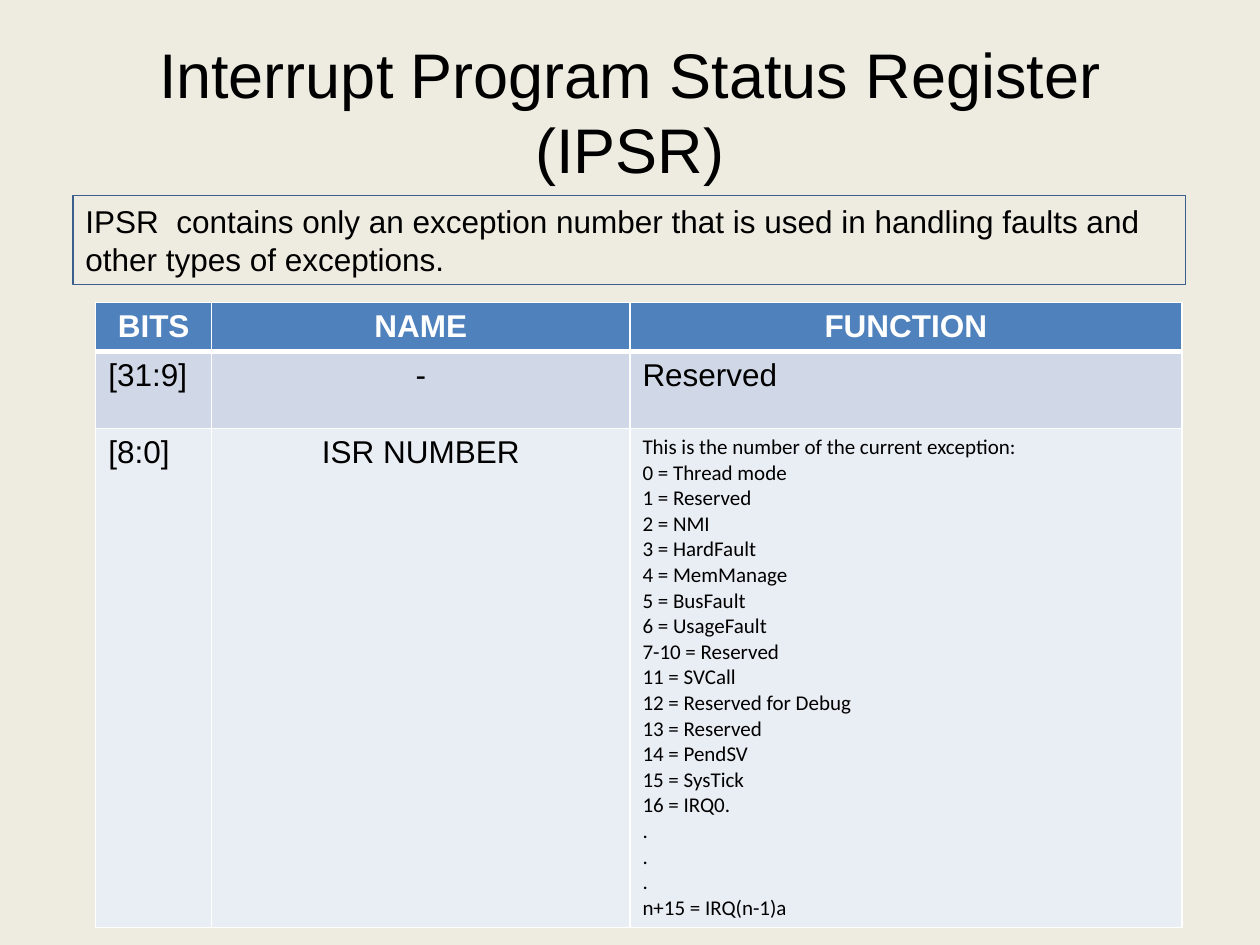
"""Build the slide describing the Interrupt Program Status Register."""
from lxml.etree import SubElement
from pptx import Presentation
from pptx.dml.color import RGBColor
from pptx.enum.shapes import MSO_SHAPE
from pptx.enum.text import MSO_ANCHOR, PP_ALIGN
from pptx.oxml.ns import qn
from pptx.util import Inches, Pt


def paint(fill, color):
    fill.solid()
    fill.fore_color.rgb = RGBColor.from_string(color)


def style(frame, size, align=PP_ALIGN.LEFT, color="000000", face="Arial", bold=False):
    frame.word_wrap = True
    for para in frame.paragraphs:
        para.alignment = align
        for run in para.runs:
            run.font.name = face
            run.font.size = Pt(size)
            run.font.bold = bold
            paint(run.font.fill, color)


deck = Presentation()
deck.slide_width, deck.slide_height = Inches(10), Inches(7.5)
slide = deck.slides.add_slide(deck.slide_layouts[5])
paint(slide.background.fill, "EEECE1")

title = slide.shapes.title
title.left, title.top = Inches(0.5), Inches(0.23)
title.width, title.height = Inches(9), Inches(0.68)
title.text_frame.text = "Interrupt Program Status Register (IPSR)"
title.text_frame.vertical_anchor = MSO_ANCHOR.TOP
style(title.text_frame, 36, PP_ALIGN.CENTER)

note = slide.shapes.add_shape(
    MSO_SHAPE.RECTANGLE, Inches(0.58), Inches(1.55), Inches(8.83), Inches(0.71))
note.shadow.inherit = False
note.fill.background()
paint(note.line.fill, "3A5F8C")
note.line.width = Pt(0.75)
note.text_frame.text = (
    "IPSR  contains only an exception number that is used in handling faults "
    "and other types of exceptions.")
style(note.text_frame, 18)

codes = [
    "This is the number of the current exception:",
    "0 = Thread mode", "1 = Reserved", "2 = NMI", "3 = HardFault",
    "4 = MemManage", "5 = BusFault", "6 = UsageFault", "7-10 = Reserved",
    "11 = SVCall", "12 = Reserved for Debug", "13 = Reserved", "14 = PendSV",
    "15 = SysTick", "16 = IRQ0.", ".", ".", ".", "n+15 = IRQ(n-1)a",
]
rows = [
    ("BITS", "NAME", "FUNCTION"),
    ("[31:9]", "-", "Reserved"),
    ("[8:0]", "ISR NUMBER", "\n".join(codes)),
]
fills = ["4F81BD", "D0D8E8", "E9EDF4"]
table = slide.shapes.add_table(
    3, 3, Inches(0.76), Inches(2.4), Inches(8.62), Inches(4.9)).table
for col, width in zip(table.columns, [0.92, 3.32, 4.38]):
    col.width = Inches(width)
for row, height in zip(table.rows, [0.39, 0.61, 3.9]):
    row.height = Inches(height)

for r, texts in enumerate(rows):
    for c, text in enumerate(texts):
        cell = table.cell(r, c)
        cell.text_frame.text = text
        align = PP_ALIGN.CENTER if r == 0 or c == 1 else PP_ALIGN.LEFT
        if r == 0:
            style(cell.text_frame, 18, align, "FFFFFF", bold=True)
        elif "\n" in text:
            style(cell.text_frame, 12, align, face="Calibri")
        else:
            style(cell.text_frame, 18, align)
        props = cell._tc.get_or_add_tcPr()
        for side in "LRTB":
            thick = (r, side) in [(0, "B"), (1, "T")]
            edge = SubElement(props, qn(f"a:ln{side}"), w=str(Pt(3 if thick else 1)))
            SubElement(SubElement(edge, qn("a:solidFill")), qn("a:srgbClr"), val="FFFFFF")
        paint(cell.fill, fills[r])

deck.save("out.pptx")
